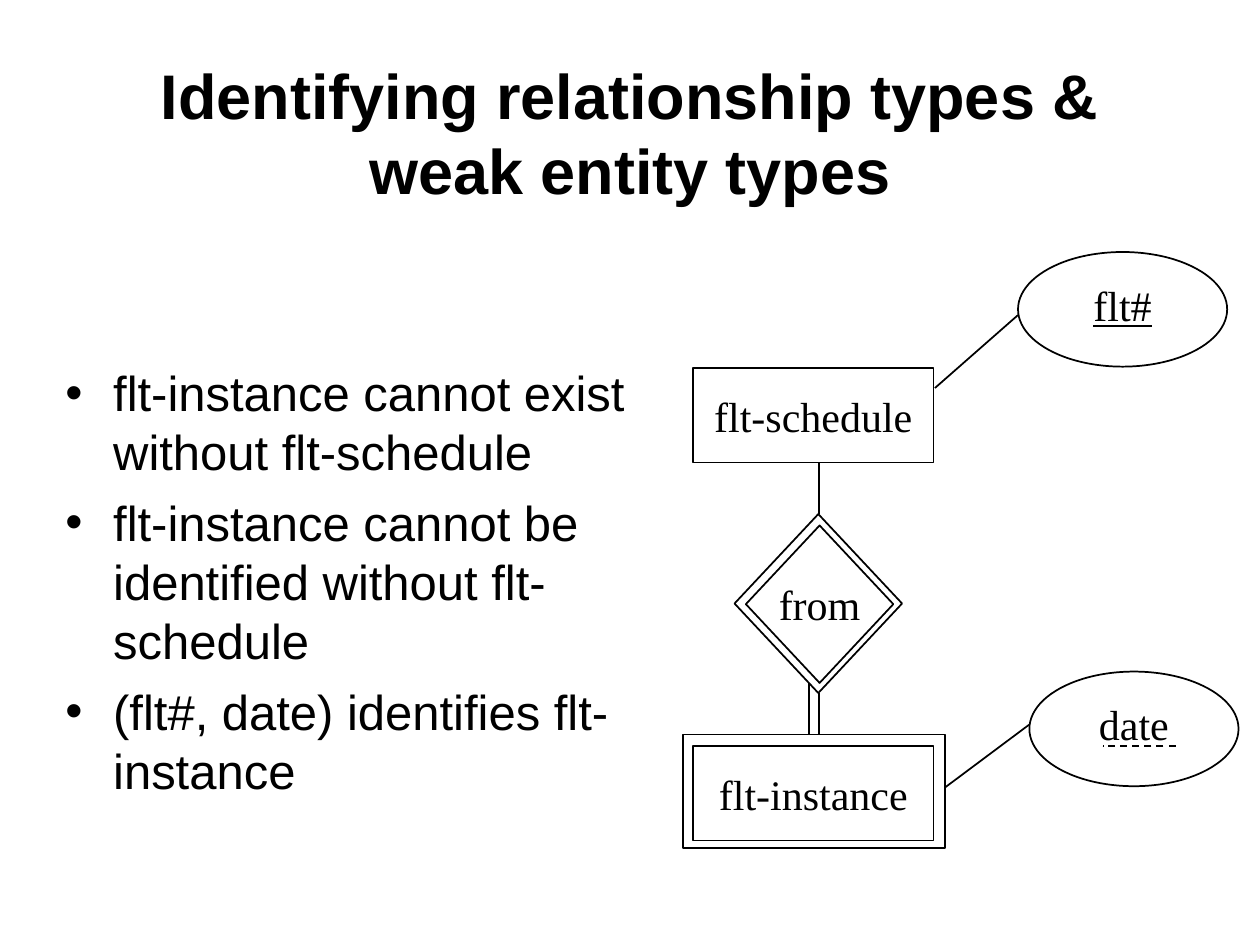
from lxml.etree import SubElement
from pptx import Presentation
from pptx.dml.color import RGBColor
from pptx.enum.dml import MSO_LINE
from pptx.enum.shapes import MSO_CONNECTOR, MSO_SHAPE
from pptx.enum.text import MSO_ANCHOR, PP_ALIGN
from pptx.oxml.ns import qn
from pptx.util import Inches, Pt

BLACK = RGBColor(0, 0, 0)
BULLETS = [
    "flt-instance cannot exist without flt-schedule",
    "flt-instance cannot be identified without flt-schedule",
    "(flt#, date) identifies flt-instance",
]


def write(paragraph, text, font="Arial", size=28, bold=False, underline=False,
          align=PP_ALIGN.LEFT, spacing=None):
    """Put formatted text into a paragraph."""
    paragraph.alignment = align
    paragraph.line_spacing = spacing
    run = paragraph.add_run()
    run.text = text
    run.font.name = font
    run.font.size = Pt(size)
    run.font.bold = bold
    run.font.underline = underline
    run.font.color.rgb = BLACK


def add_frame(slide, left, top, width, height):
    """Add a wrapping text box and return its text frame."""
    box = slide.shapes.add_textbox(Inches(left), Inches(top), Inches(width), Inches(height))
    box.text_frame.word_wrap = True
    return box.text_frame


def add_title(slide, left, top, width, height):
    """Add the centred slide title."""
    frame = add_frame(slide, left, top, width, height)
    frame.vertical_anchor = MSO_ANCHOR.MIDDLE
    write(frame.paragraphs[0], "Identifying relationship types & weak entity types",
          size=36, bold=True, align=PP_ALIGN.CENTER)


def add_bullets(slide, left, top, width, height):
    """Add the bulleted statements with a hanging indent."""
    frame = add_frame(slide, left, top, width, height)
    for index, statement in enumerate(BULLETS):
        paragraph = frame.add_paragraph() if index else frame.paragraphs[0]
        write(paragraph, statement)
        paragraph.space_before = Pt(7)
        properties = paragraph._p.get_or_add_pPr()
        properties.set("marL", str(Inches(0.38)))
        properties.set("indent", str(-Inches(0.38)))
        SubElement(properties, qn("a:buFont"), typeface="Arial")
        SubElement(properties, qn("a:buChar"), char="•")


def add_node(slide, kind, left, top, width, height, label="", **style):
    """Add an outlined diagram node with an optional label."""
    node = slide.shapes.add_shape(kind, Inches(left), Inches(top), Inches(width), Inches(height))
    node.shadow.inherit = False
    node.fill.background()
    node.line.color.rgb = BLACK
    node.line.width = Pt(1)
    if label:
        frame = node.text_frame
        frame.word_wrap = False
        frame.vertical_anchor = MSO_ANCHOR.MIDDLE
        write(frame.paragraphs[0], label, font="Times New Roman", size=24,
              align=PP_ALIGN.CENTER, **style)


def add_link(slide, x1, y1, x2, y2, dash=None):
    """Add a straight black line between two points."""
    link = slide.shapes.add_connector(MSO_CONNECTOR.STRAIGHT, Inches(x1), Inches(y1),
                                      Inches(x2), Inches(y2))
    link.line.color.rgb = BLACK
    link.line.width = Pt(1)
    if dash:
        link.line.dash_style = dash
    SubElement(link._element.spPr, qn("a:effectLst"))


def add_er_diagram(slide, left, top):
    """Add the entity-relationship diagram from its top left corner."""
    nodes = [
        (MSO_SHAPE.RECTANGLE, 0.08, 0.92, 1.91, 0.75, "flt-schedule", {}),
        (MSO_SHAPE.RECTANGLE, 0.08, 3.92, 1.91, 0.75, "flt-instance", {}),
        (MSO_SHAPE.RECTANGLE, 0, 3.83, 2.08, 0.9, "", {}),
        (MSO_SHAPE.DIAMOND, 0.5, 2.17, 1.17, 1.25, "from", {}),
        (MSO_SHAPE.DIAMOND, 0.41, 2.08, 1.33, 1.42, "", {}),
        (MSO_SHAPE.OVAL, 2.66, 0, 1.66, 0.91, "flt#", {"underline": True, "spacing": 0.8}),
        (MSO_SHAPE.OVAL, 2.75, 3.33, 1.66, 0.91, "date", {"spacing": 0.8}),
    ]
    links = [
        (1.08, 2.08, 1.08, 1.67),
        (1, 3.42, 1, 3.83),
        (1.08, 3.5, 1.08, 3.83),
        (2.66, 0.5, 2, 1.08),
        (2.75, 3.75, 2.08, 4.25),
        (3.91, 3.92, 3.33, 3.92, MSO_LINE.DASH),
    ]
    for kind, x, y, width, height, label, style in nodes:
        add_node(slide, kind, left + x, top + y, width, height, label, **style)
    for x1, y1, x2, y2, *dash in links:
        add_link(slide, left + x1, top + y1, left + x2, top + y2, *dash)


def main():
    """Build and save the slide."""
    deck = Presentation()
    deck.slide_width, deck.slide_height = Inches(10), Inches(7.5)
    slide = deck.slides.add_slide(deck.slide_layouts[6])
    add_title(slide, 0.75, 0.42, 8.5, 1.25)
    add_er_diagram(slide, 5.42, 2)
    add_bullets(slide, 0.42, 2.83, 4.92, 3.83)
    deck.save("out.pptx")


if __name__ == "__main__":
    main()
